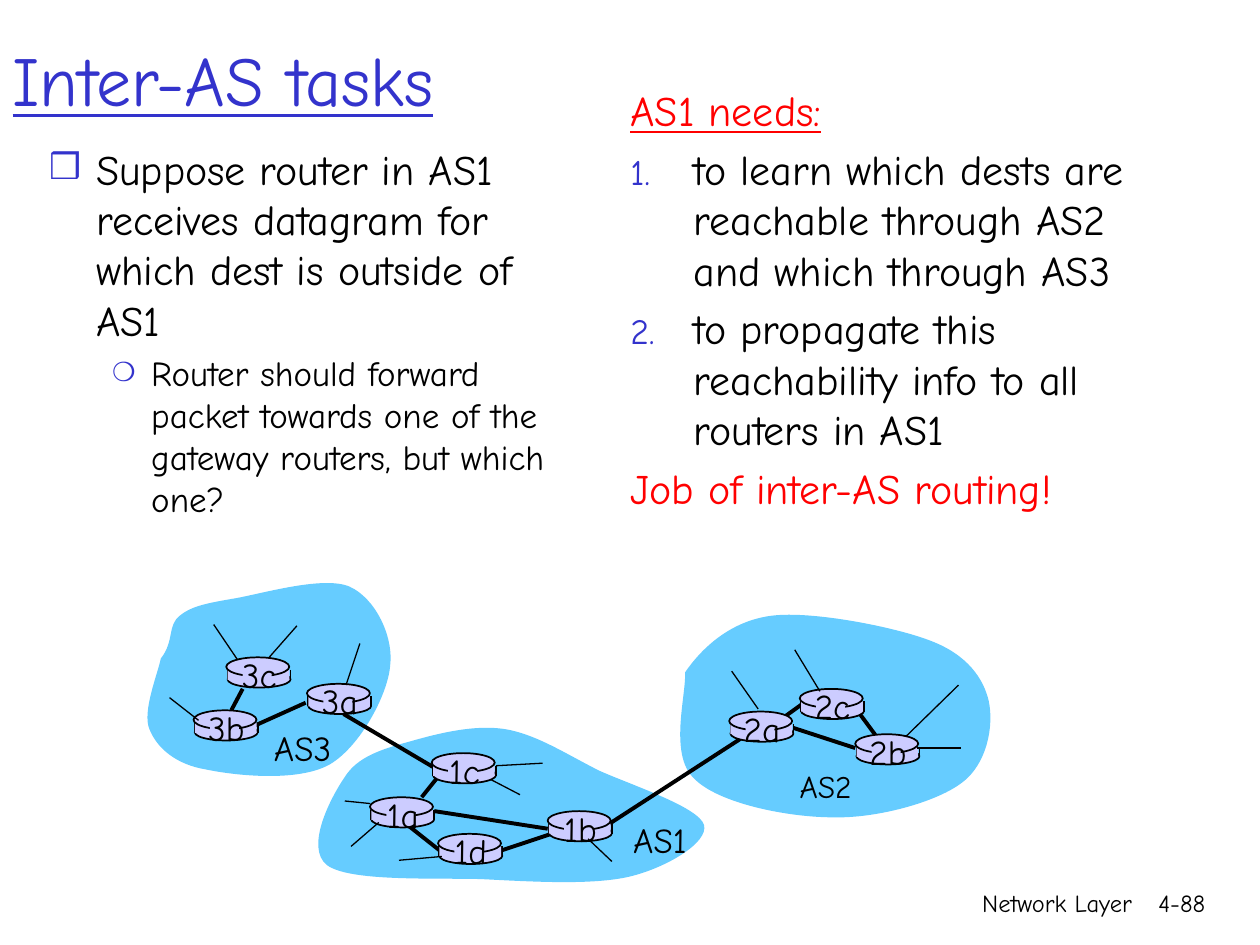
from dataclasses import dataclass

from lxml import etree
from pptx import Presentation
from pptx.dml.color import RGBColor
from pptx.enum.shapes import MSO_CONNECTOR, MSO_SHAPE
from pptx.enum.text import MSO_ANCHOR, MSO_AUTO_SIZE, PP_ALIGN
from pptx.oxml.ns import qn
from pptx.util import Cm, Pt

STRAIGHT = MSO_CONNECTOR.STRAIGHT
OVAL, RECT = MSO_SHAPE.OVAL, MSO_SHAPE.RECTANGLE
LEFT, CENTER, RIGHT = PP_ALIGN.LEFT, PP_ALIGN.CENTER, PP_ALIGN.RIGHT
MIDDLE = MSO_ANCHOR.MIDDLE
NO_FIT = MSO_AUTO_SIZE.NONE


@dataclass(frozen=True)
class Theme:
    font: str = "Comic Neue"
    ink: RGBColor = RGBColor(0x00, 0x00, 0x00)
    accent: RGBColor = RGBColor(0x33, 0x33, 0xCC)
    alert: RGBColor = RGBColor(0xFF, 0x00, 0x00)
    cloud: RGBColor = RGBColor(0x66, 0xCC, 0xFF)
    router: RGBColor = RGBColor(0xCC, 0xCC, 0xFF)
    title: int = 40
    body: int = 24
    detail: int = 20
    small_label: int = 18
    footer: int = 14
    link: float = 2.25
    outline: float = 1
    spoke: float = 0.75


THEME = Theme()

MAP_WIDTH = 675
CLOUDS = [
    [(431, 77), (444, 58), (467, 36), (500, 32), (532, 28), (598, 41), (626, 52),
     (655, 63), (668, 82), (672, 100), (676, 119), (671, 150), (650, 165),
     (630, 180), (583, 193), (548, 192), (513, 192), (457, 181), (438, 161),
     (418, 142), (432, 95), (431, 77)],
    [(15, 66), (26, 52), (20, 40), (30, 32), (40, 24), (52, 22), (75, 18),
     (97, 14), (145, 0), (165, 9), (185, 18), (200, 48), (197, 72),
     (195, 95), (173, 136), (149, 150), (124, 164), (75, 159), (51, 154),
     (27, 150), (12, 137), (6, 122), (0, 108), (13, 77), (15, 66)],
    [(161, 160), (171, 144), (190, 138), (212, 132), (233, 126), (263, 118), (288, 122),
     (313, 126), (337, 142), (363, 155), (390, 167), (442, 184), (446, 198),
     (450, 212), (416, 232), (387, 239), (357, 246), (309, 243), (269, 241),
     (229, 240), (165, 243), (147, 230), (129, 216), (150, 176), (161, 160)],
]
ROUTERS = {
    "3b": (41, 107), "1d": (235, 205), "3a": (131, 86), "1c": (230, 141),
    "2a": (466, 108), "1a": (181, 176), "2c": (522, 90), "2b": (566, 126),
    "1b": (322, 187), "3c": (67, 65),
}
LINKS = [
    (80, 90, 71, 107), (90, 119, 130, 101), (160, 110, 231, 152), (222, 176, 234, 161),
    (232, 187, 322, 201), (212, 199, 236, 218), (286, 218, 328, 204), (371, 197, 476, 129),
    (506, 115, 524, 102), (517, 121, 566, 137), (569, 109, 583, 128),
]
SPOKES = [
    (22, 97, 45, 115), (123, 40, 101, 65), (57, 39, 76, 67), (173, 54, 162, 87),
    (615, 137, 650, 137), (606, 128, 648, 87), (538, 92, 518, 59), (489, 106, 468, 76),
    (188, 196, 166, 215), (181, 181, 161, 179), (238, 223, 204, 226), (281, 151, 318, 149),
    (354, 209, 373, 227), (277, 162, 300, 174),
]
AS_LABELS = [
    ("AS3", 95, 115, THEME.detail),
    ("AS1", 380, 188, THEME.detail),
    ("AS2", 512, 147, THEME.small_label),
]


def write(paragraph, text, size, color=THEME.ink, align=LEFT, underline=False):
    paragraph.alignment = align
    run = paragraph.add_run()
    run.text = text
    formats = {"name": THEME.font, "size": Pt(size), "underline": underline}
    for attribute, value in formats.items():
        setattr(run.font, attribute, value)
    run.font.color.rgb = color


def add_text(shapes, box, wrap=True):
    frame = shapes.add_textbox(*(Cm(side) for side in box)).text_frame
    frame.word_wrap = wrap
    return frame


def indent(paragraph, margin, hanging, bullet=None, percent=100):
    properties = paragraph._p.get_or_add_pPr()
    properties.set("marL", str(Cm(margin)))
    properties.set("indent", str(-Cm(hanging)))
    if bullet is None:
        etree.SubElement(properties, qn("a:buNone"))
        return
    color = etree.SubElement(properties, qn("a:buClr"))
    etree.SubElement(color, qn("a:srgbClr"), val=str(THEME.accent))
    etree.SubElement(properties, qn("a:buSzPct"), val=str(percent * 1000))
    etree.SubElement(properties, qn("a:buFont"), typeface=THEME.font)
    if bullet == "1.":
        etree.SubElement(properties, qn("a:buAutoNum"), type="arabicPeriod")
    else:
        etree.SubElement(properties, qn("a:buChar"), char=bullet)


def add_title(slide, box):
    title = slide.shapes.title
    for side, value in zip(("left", "top", "width", "height"), box):
        setattr(title, side, Cm(value))
    frame = title.text_frame
    frame.auto_size = NO_FIT
    frame.vertical_anchor = MIDDLE
    write(frame.paragraphs[0], "Inter-AS tasks", THEME.title, THEME.accent, underline=True)


def add_body(slide, box, items):
    frame = add_text(slide.shapes, box)
    for index, (layout, text, formats) in enumerate(items):
        paragraph = frame.add_paragraph() if index else frame.paragraphs[0]
        indent(paragraph, *layout)
        if index:
            paragraph.space_before = Pt(formats["size"] * 0.2)
        write(paragraph, text, **formats)


def add_footer(slide, box):
    left, top, width, height = box
    for text, edge, span in (("Network Layer", left + width - 1.48, 8.05),
                             ("4-88", left + width, 1.88)):
        frame = add_text(slide.shapes, (edge - span, top, span, height))
        write(frame.paragraphs[0], text, THEME.footer, align=RIGHT)


def add_curve(shapes, points):
    builder = shapes.build_freeform(*points[0])
    builder.add_line_segments(points[1:], close=True)
    shape = builder.convert_to_shape()
    segments = list(shape._element.iter(qn("a:lnTo")))
    for start in range(0, len(segments), 3):
        bend = etree.Element(qn("a:cubicBezTo"))
        segments[start].addprevious(bend)
        for segment in segments[start:start + 3]:
            bend.append(segment[0])
            segment.getparent().remove(segment)
    return shape


def paint(shape, fill, outlined=False):
    shape.shadow.inherit = False
    shape.fill.solid()
    shape.fill.fore_color.rgb = fill
    if outlined:
        shape.line.color.rgb = THEME.ink
        shape.line.width = Pt(THEME.outline)
    else:
        shape.line.fill.background()


def add_network(slide, box):
    left, top, width = box
    shapes = slide.shapes.add_group_shape().shapes
    unit = width / MAP_WIDTH

    def place(x, y):
        return left + x * unit, top + y * unit

    def add_line(x1, y1, x2, y2, weight):
        ends = (Cm(value) for value in place(x1, y1) + place(x2, y2))
        line = shapes.add_connector(STRAIGHT, *ends)
        line.line.color.rgb = THEME.ink
        line.line.width = Pt(weight)
        etree.SubElement(line._element.spPr, qn("a:effectLst"))

    def add_part(kind, x, y, w, h, outlined=False):
        frame = place(x, y) + (w * unit, h * unit)
        paint(shapes.add_shape(kind, *(Cm(side) for side in frame)), THEME.router, outlined)

    def add_label(text, x, y, w, size, align=LEFT):
        frame = add_text(shapes, place(x, y) + (w * unit, 43 * unit), wrap=False)
        write(frame.paragraphs[0], text, size, align=align)

    def add_router(name, x, y):
        add_part(OVAL, x + 1, y + 11, 50, 13, outlined=True)
        for side in (x + 1, x + 51):
            add_line(side, y + 10, side, y + 18, THEME.outline)
        add_part(RECT, x + 1, y + 10, 49, 8)
        add_part(OVAL, x, y, 50, 15, outlined=True)
        add_part(RECT, x + 13, y + 2, 23, 20)
        add_label(name, x, y - 8, 52, THEME.detail, CENTER)

    for anchors in CLOUDS:
        points = [tuple(Cm(value) for value in place(*anchor)) for anchor in anchors]
        paint(add_curve(shapes, points), THEME.cloud)
    for link in LINKS:
        add_line(*link, THEME.link)
    for name, spot in ROUTERS.items():
        add_router(name, *spot)
    for spoke in SPOKES:
        add_line(*spoke, THEME.spoke)
    for text, x, y, size in AS_LABELS:
        add_label(text, x, y, 75, size)


def main():
    deck = Presentation()
    deck.slide_width, deck.slide_height = Cm(25.4), Cm(19.05)
    slide = deck.slides.add_slide(deck.slide_layouts[5])
    plain = {"size": THEME.body}
    alert = {"size": THEME.body, "color": THEME.alert}
    unmarked, numbered = (1.27, 1.27), (1.27, 1.27, "1.", 85)

    add_footer(slide, (0, 17.78, 24.55, 1.27))
    add_network(slide, (2.86, 11.6, 17.15))
    add_title(slide, (0, 0, 21.59, 3.18))
    add_body(slide, (0.74, 2.76, 10.59, 8.1), [
        ((0.95, 0.95, "❒", 85),
         "Suppose router in AS1 receives datagram for which dest is outside of AS1", plain),
        ((2.06, 0.79, "❍", 75),
         "Router should forward packet towards one of the gateway routers, but which one?",
         {"size": THEME.detail}),
    ])
    add_body(slide, (12.46, 1.58, 10.59, 12.9), [
        (unmarked, "AS1 needs:", {**alert, "underline": True}),
        (numbered, "to learn which dests are reachable through AS2 and which through AS3", plain),
        (numbered, "to propagate this reachability info to all routers in AS1", plain),
        (unmarked, "Job of inter-AS routing!", alert),
    ])
    deck.save("out.pptx")


if __name__ == "__main__":
    main()
